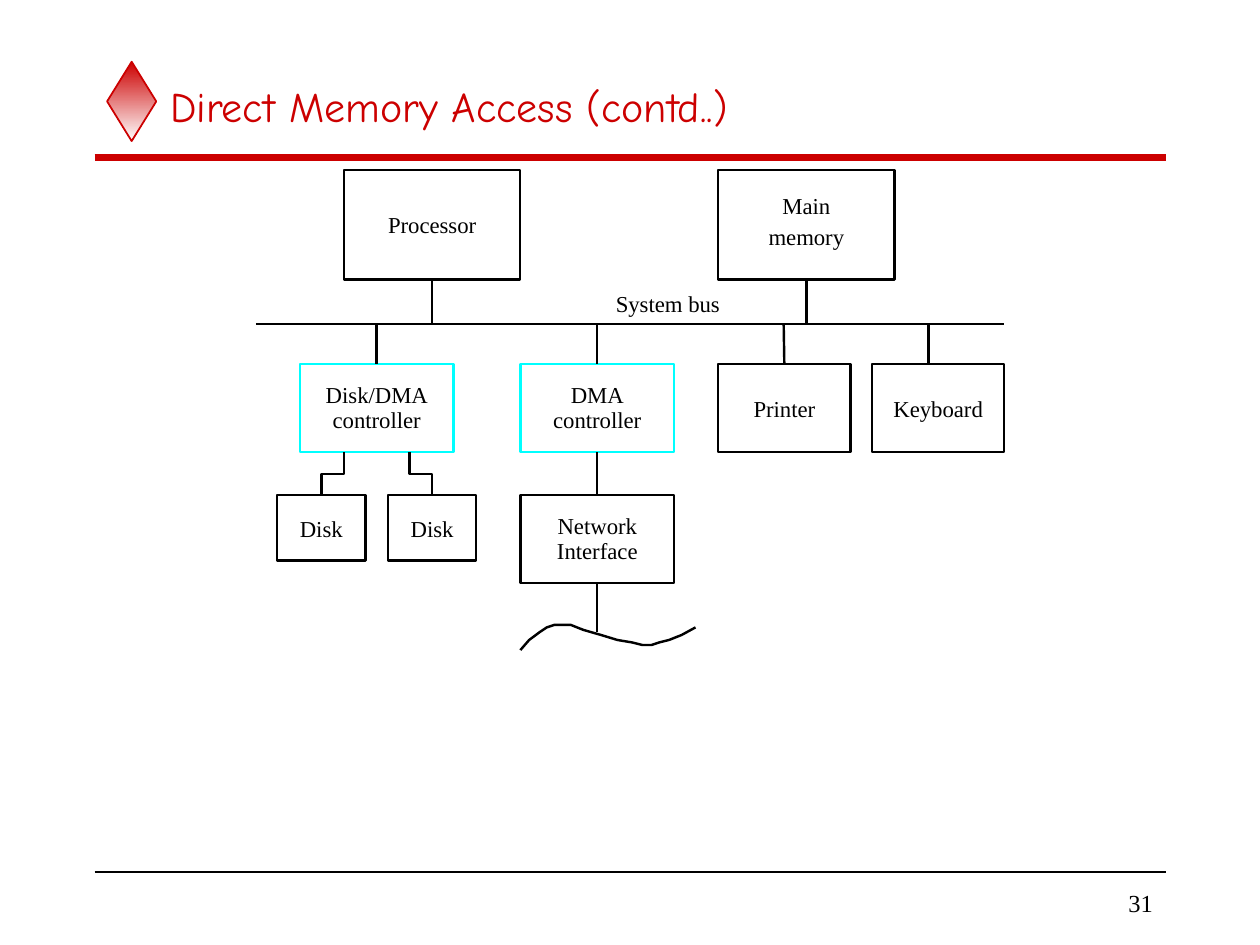
"""Build the Direct Memory Access slide with its system bus block diagram."""
from pptx import Presentation
from pptx.dml.color import RGBColor
from pptx.enum.shapes import MSO_CONNECTOR, MSO_SHAPE
from pptx.enum.text import MSO_ANCHOR, PP_ALIGN
from pptx.oxml.ns import qn
from pptx.util import Inches, Pt

RED = RGBColor(0xCC, 0x00, 0x00)
BLACK = RGBColor(0x00, 0x00, 0x00)
WHITE = RGBColor(0xFF, 0xFF, 0xFF)
CYAN = RGBColor(0x00, 0xFF, 0xFF)
BODY_FONT = "Times New Roman"
DIAGRAM_LINE = Pt(1.39)
BUS_Y = 2.57


def write_text(shape, lines, size, alignment, spacing=None):
    frame = shape.text_frame
    frame.text = "\n".join(lines)
    frame.word_wrap = False
    frame.vertical_anchor = MSO_ANCHOR.MIDDLE
    frame.margin_left = frame.margin_right = 0
    frame.margin_top = frame.margin_bottom = 0
    for paragraph in frame.paragraphs:
        paragraph.alignment = alignment
        paragraph.line_spacing = spacing
        paragraph.font.name = BODY_FONT
        paragraph.font.size = Pt(size)
        paragraph.font.color.rgb = BLACK


def draw_line(x1, y1, x2, y2, color=BLACK, width=DIAGRAM_LINE):
    connector = slide.shapes.add_connector(
        MSO_CONNECTOR.STRAIGHT, Inches(x1), Inches(y1), Inches(x2), Inches(y2))
    connector.line.color.rgb = color
    connector.line.width = width
    properties = connector._element.spPr
    properties.append(properties.makeelement(qn("a:effectLst"), {}))
    return connector


presentation = Presentation()
presentation.slide_width = Inches(10)
presentation.slide_height = Inches(7.5)
slide = presentation.slides.add_slide(presentation.slide_layouts[5])

diamond = slide.shapes.add_shape(
    MSO_SHAPE.DIAMOND, Inches(0.85), Inches(0.49), Inches(0.39), Inches(0.63))
diamond.shadow.inherit = False
diamond.fill.gradient()
diamond.fill.gradient_angle = 270
for stop, color, position in zip(diamond.fill.gradient_stops, (RED, WHITE), (0, 1)):
    stop.color.rgb = color
    stop.position = position
diamond.line.color.rgb = RED
diamond.line.width = Pt(1)

draw_line(0.75, 1.25, 9.25, 1.25, RED, Pt(4))
draw_line(0.75, 6.92, 9.25, 6.92, BLACK, Pt(1))

title = slide.shapes.title
title.left, title.top = Inches(1.25), Inches(0.5)
title.width, title.height = Inches(8), Inches(0.67)
title.text_frame.text = "Direct Memory Access (contd..)"
title.text_frame.vertical_anchor = MSO_ANCHOR.MIDDLE
heading = title.text_frame.paragraphs[0]
heading.alignment = PP_ALIGN.LEFT
heading.font.name = "Comic Neue"
heading.font.size = Pt(24)
heading.font.color.rgb = RED

slide_number = slide.shapes.add_textbox(Inches(7.83), Inches(7), Inches(1.32), Inches(0.33))
write_text(slide_number, ["31"], 14, PP_ALIGN.RIGHT)

BOXES = {
    "processor": (["Processor"], 2.73, 1.35, 1.4, 0.87, BLACK, None),
    "memory": (["Main", "memory"], 5.7, 1.35, 1.4, 0.87, BLACK, Pt(18)),
    "disk controller": (["Disk/DMA", "controller"], 2.38, 2.89, 1.22, 0.7, CYAN, Pt(14)),
    "controller": (["DMA", "controller"], 4.13, 2.89, 1.22, 0.7, CYAN, Pt(14)),
    "printer": (["Printer"], 5.7, 2.89, 1.05, 0.7, BLACK, None),
    "keyboard": (["Keyboard"], 6.92, 2.89, 1.05, 0.7, BLACK, None),
    "left disk": (["Disk"], 2.2, 3.93, 0.7, 0.52, BLACK, None),
    "right disk": (["Disk"], 3.08, 3.93, 0.7, 0.52, BLACK, None),
    "network": (["Network", "Interface"], 4.13, 3.93, 1.22, 0.7, BLACK, Pt(14)),
}
boxes = {}
for name, (lines, left, top, width, height, color, spacing) in BOXES.items():
    box = slide.shapes.add_shape(
        MSO_SHAPE.RECTANGLE, Inches(left), Inches(top), Inches(width), Inches(height))
    box.shadow.inherit = False
    box.fill.solid()
    box.fill.fore_color.rgb = WHITE
    box.line.color.rgb = color
    box.line.width = DIAGRAM_LINE
    write_text(box, lines, 13, PP_ALIGN.CENTER, spacing)
    boxes[name] = box
boxes["memory"].text_frame.margin_bottom = Inches(0.1)

draw_line(2.03, BUS_Y, 7.97, BUS_Y)
bus_label = slide.shapes.add_textbox(Inches(4.8), Inches(2.3), Inches(1), Inches(0.22))
write_text(bus_label, ["System bus"], 13, PP_ALIGN.CENTER)

BUS_LINKS = [("processor", 3.43, 2), ("memory", 6.4, 2), ("disk controller", 2.99, 0),
             ("controller", 4.74, 0), ("printer", 6.22, 0)]
for name, x, side in BUS_LINKS:
    draw_line(x, BUS_Y, x, 2.89).end_connect(boxes[name], side)
draw_line(7.37, BUS_Y, 7.37, 2.89)

network_link = draw_line(4.74, 3.59, 4.74, 3.93)
network_link.begin_connect(boxes["controller"], 2)
network_link.end_connect(boxes["network"], 0)
draw_line(4.74, 4.63, 4.74, 5.02).begin_connect(boxes["network"], 2)

left_disk_link = [(2.55, 3.93), (2.55, 3.76), (2.73, 3.76), (2.73, 3.59)]
right_disk_link = [(3.43, 3.93), (3.43, 3.76), (3.25, 3.76), (3.25, 3.59)]
network_wave = [
    (4.13, 5.16), (4.2, 5.08), (4.28, 5.02), (4.34, 4.98), (4.4, 4.96), (4.53, 4.96),
    (4.63, 5), (4.77, 5.04), (4.9, 5.08), (5.02, 5.1), (5.1, 5.12), (5.17, 5.12),
    (5.23, 5.1), (5.31, 5.08), (5.41, 5.04), (5.52, 4.98)]
for outline in (left_disk_link, right_disk_link, network_wave):
    points = [(Inches(x), Inches(y)) for x, y in outline]
    builder = slide.shapes.build_freeform(*points[0])
    builder.add_line_segments(points[1:], close=False)
    path_shape = builder.convert_to_shape()
    path_shape.shadow.inherit = False
    path_shape.fill.background()
    path_shape.line.color.rgb = BLACK
    path_shape.line.width = DIAGRAM_LINE

presentation.save("out.pptx")
